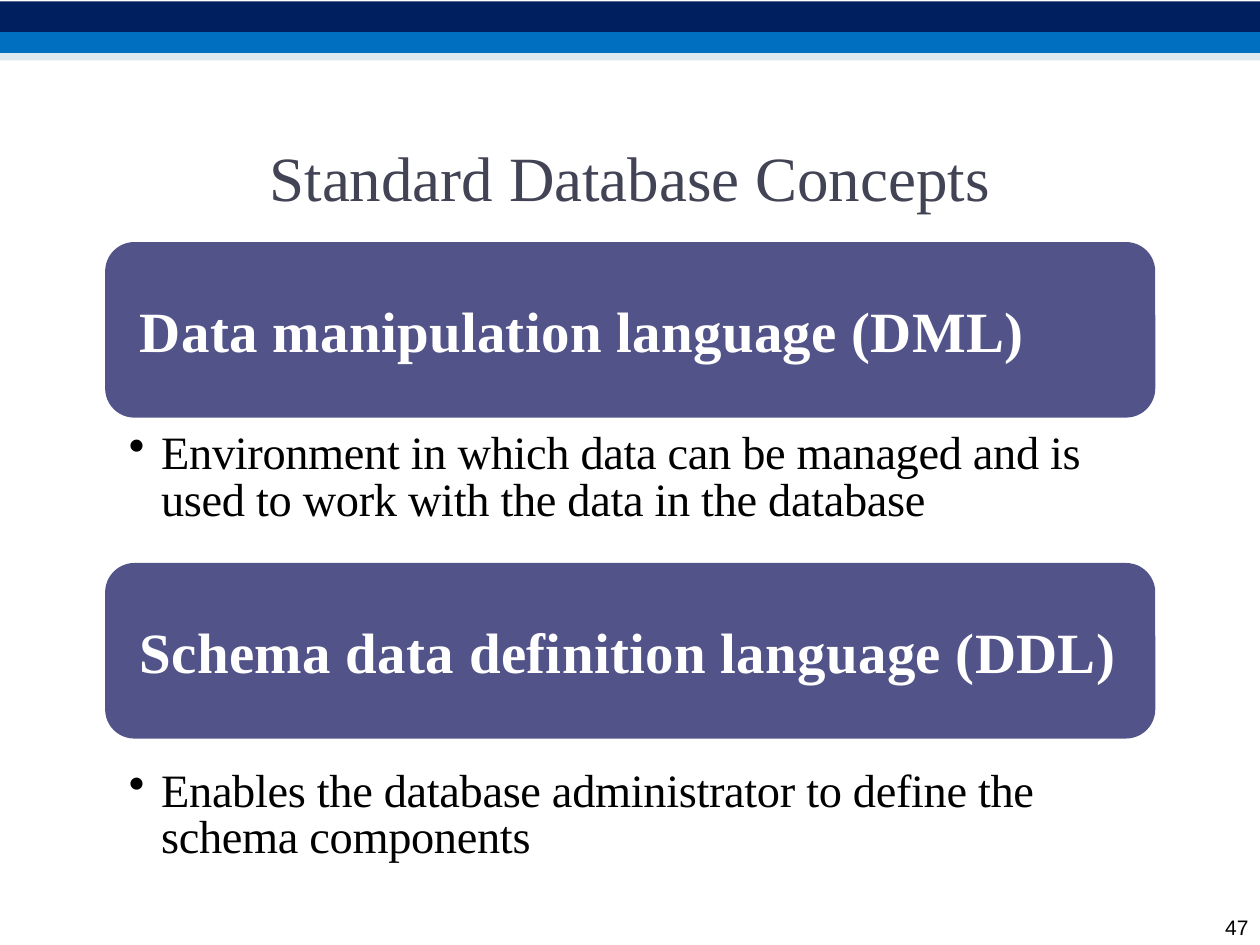
"""Build the slide on standard database concepts."""
import pptx
import pptx.dml.color
import pptx.enum.shapes
import pptx.enum.text
import pptx.oxml.ns
import pptx.util
from lxml import etree

Cm, Pt = pptx.util.Cm, pptx.util.Pt
Align = pptx.enum.text.PP_ALIGN
Kind = pptx.enum.shapes.MSO_SHAPE


def tint(code):
    return pptx.dml.color.RGBColor.from_string(code)


class Page:
    serif = "Times New Roman"

    def __init__(self, deck):
        self.slide = deck.slides.add_slide(deck.slide_layouts[6])

    def label(self, shape, words, size, color, name=serif, bold=False,
              track=0, inset=0, align=Align.LEFT, lead=None, bullet=False):
        frame = shape.text_frame
        look = {"word_wrap": True, "margin_left": Cm(inset), "margin_top": 0,
                "margin_right": 0, "margin_bottom": 0}
        for key, value in look.items():
            setattr(frame, key, value)
        para = frame.paragraphs[0]
        para.alignment = align
        if lead:
            para.line_spacing = Pt(lead)
        if bullet:
            props = para._p.get_or_add_pPr()
            props.set("marL", str(Cm(0.68)))
            props.set("indent", str(-Cm(0.65)))
            mark = etree.SubElement(props, pptx.oxml.ns.qn("a:buChar"))
            mark.set("char", "•")
        run = para.add_run()
        run.text = words
        font = {"name": name, "size": Pt(size), "bold": bold}
        for key, value in font.items():
            setattr(run.font, key, value)
        run.font.color.rgb = tint(color)
        run._r.get_or_add_rPr().set("spc", str(track))

    def block(self, kind, left, top, width, height, color):
        shape = self.slide.shapes.add_shape(
            kind, Cm(left), Cm(top), Cm(width), Cm(height))
        shape.shadow.inherit = False
        shape.fill.solid()
        shape.fill.fore_color.rgb = tint(color)
        shape.line.fill.background()
        return shape

    def band(self, top, height, color):
        self.block(Kind.RECTANGLE, 0, top, 25.4, height, color)

    def text(self, left, top, width, height, words, size, color, **style):
        box = self.slide.shapes.add_textbox(
            Cm(left), Cm(top), Cm(width), Cm(height))
        self.label(box, words, size, color, **style)

    def topic(self, top, head, low, body):
        card = self.block(Kind.ROUNDED_RECTANGLE, 2.12, top, 21.17, 3.54, "525389")
        card.text_frame.vertical_anchor = pptx.enum.text.MSO_ANCHOR.MIDDLE
        self.label(card, head, 32.5, "FFFFFF", bold=True, track=20, inset=0.53)
        self.text(2.57, low, 19.6, 1.9, body, 26.5, "000000",
                  track=-20, lead=26.4, bullet=True)


def main():
    deck = pptx.Presentation()
    deck.slide_width, deck.slide_height = Cm(25.4), Cm(19.05)
    page = Page(deck)
    page.band(0.03, 0.62, "001F5F")
    page.band(0.65, 0.42, "006FC0")
    page.band(1.07, 0.15, "DEE8EF")
    page.text(5.2, 2.8, 15, 1.5, "Standard Database Concepts", 36, "424455",
              align=Align.CENTER)
    page.topic(4.88, "Data manipulation language (DML)", 8.73,
               "Environment in which data can be managed and is "
               "used to work with the data in the database")
    page.topic(11.35, "Schema data definition language (DDL)", 15.54,
               "Enables the database administrator to define the "
               "schema components")
    page.text(24.7, 18.44, 0.6, 0.53, "47", 12, "000000", name="Arial", lead=14.3)
    deck.save("out.pptx")


if __name__ == "__main__":
    main()
